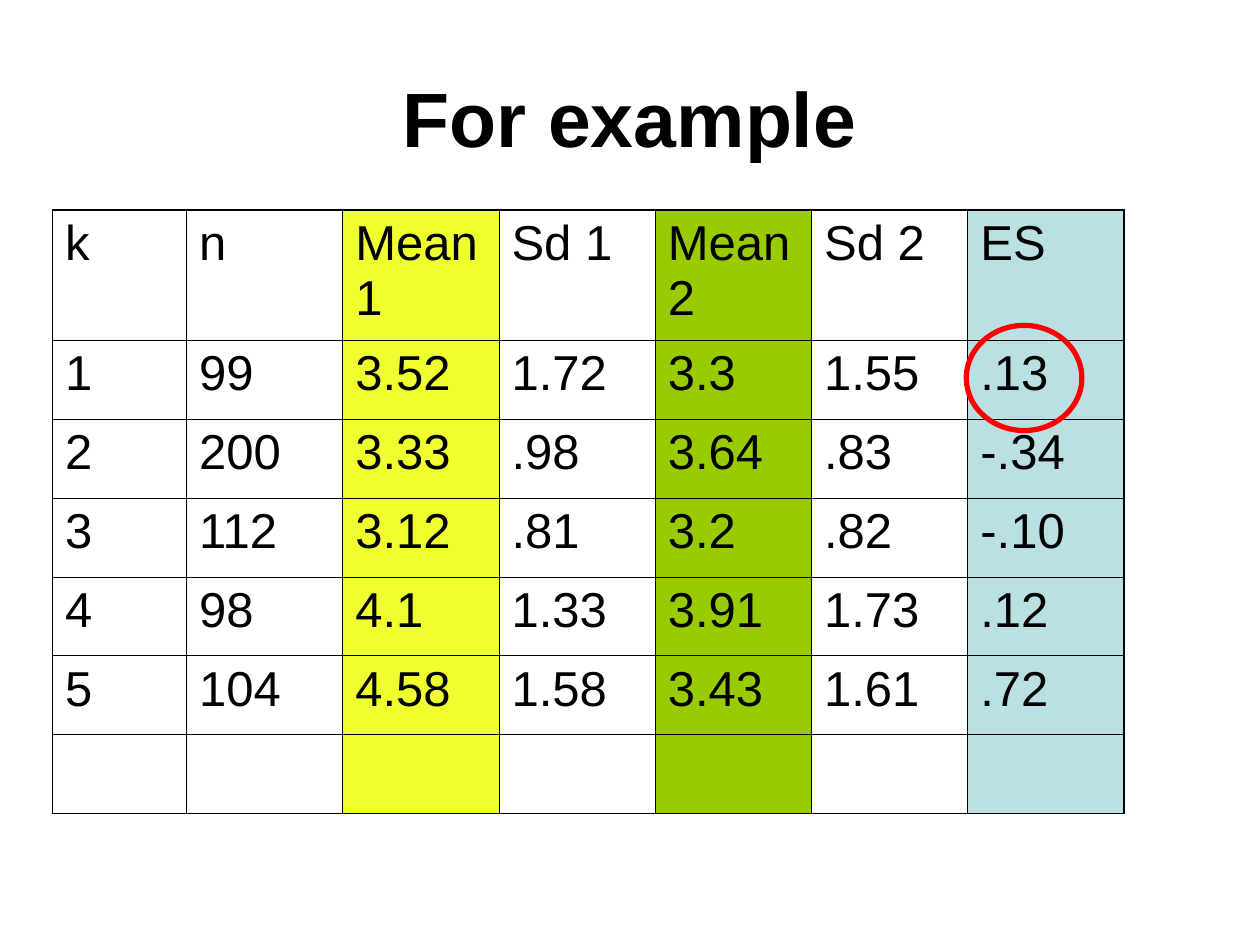
from lxml.etree import SubElement
from pptx import Presentation
from pptx.dml.color import RGBColor
from pptx.enum.shapes import MSO_SHAPE
from pptx.enum.text import MSO_ANCHOR, PP_ALIGN
from pptx.oxml.ns import qn
from pptx.util import Cm, Pt

COLOURS = {
    "ink": "000000",
    "first mean": "EFFE2E",
    "second mean": "99CC00",
    "effect": "BBE0E3",
    "ring": "FF0000",
}
FONT = "Arial"
THIN, THICK = 0.45, 1.08

ROWS = [
    ["k", "n", "Mean 1", "Sd 1", "Mean 2", "Sd 2", "ES"],
    ["1", "99", "3.52", "1.72", "3.3", "1.55", ".13"],
    ["2", "200", "3.33", ".98", "3.64", ".83", "-.34"],
    ["3", "112", "3.12", ".81", "3.2", ".82", "-.10"],
    ["4", "98", "4.1", "1.33", "3.91", "1.73", ".12"],
    ["5", "104", "4.58", "1.58", "3.43", "1.61", ".72"],
    [""] * 7,
]
COLUMN_WIDTHS = [2.7] + [3.15] * 6
ROW_HEIGHTS = [2.63] + [1.59] * 6
COLUMN_FILLS = {2: "first mean", 4: "second mean", 6: "effect"}


class SlideBuilder:
    """Holds the style and the current page, and draws each kind of element."""

    def __init__(self, page):
        self.page = page

    def colour(self, name):
        return RGBColor.from_string(COLOURS[name])

    def style(self, paragraph, size, bold=False):
        for span in paragraph.runs:
            span.font.name = FONT
            span.font.size = Pt(size)
            span.font.bold = bold
            span.font.color.rgb = self.colour("ink")

    def title(self, text, left, top, width, height):
        box = self.page.shapes.title
        box.left, box.top, box.width, box.height = map(Cm, (left, top, width, height))
        box.text_frame.text = text
        box.text_frame.vertical_anchor = MSO_ANCHOR.MIDDLE
        paragraph = box.text_frame.paragraphs[0]
        paragraph.alignment = PP_ALIGN.CENTER
        self.style(paragraph, 44, bold=True)

    def borders(self, cell, widths):
        properties = cell._tc.get_or_add_tcPr()
        for side, width in widths.items():
            line = SubElement(properties, qn(f"a:ln{side}"), w=str(Pt(width)))
            fill = SubElement(line, qn("a:solidFill"))
            SubElement(fill, qn("a:srgbClr"), val=COLOURS["ink"])

    def table(self, rows, left, top, widths, heights, fills):
        frame = self.page.shapes.add_table(
            len(rows), len(widths), Cm(left), Cm(top), Cm(sum(widths)), Cm(sum(heights))
        )
        table = frame.table
        table.first_row = table.horz_banding = False
        for column, width in zip(table.columns, widths):
            column.width = Cm(width)
        for row, height in zip(table.rows, heights):
            row.height = Cm(height)
        for i, texts in enumerate(rows):
            for j, text in enumerate(texts):
                cell = table.cell(i, j)
                outer = {
                    "L": j == 0,
                    "R": j == len(widths) - 1,
                    "T": i == 0,
                    "B": i == len(rows) - 1,
                }
                self.borders(cell, {side: THICK if edge else THIN for side, edge in outer.items()})
                if j in fills:
                    cell.fill.solid()
                    cell.fill.fore_color.rgb = self.colour(fills[j])
                else:
                    cell.fill.background()
                cell.text_frame.text = text
                self.style(cell.text_frame.paragraphs[0], 28)

    def ring(self, left, top, width, height):
        ring = self.page.shapes.add_shape(
            MSO_SHAPE.OVAL, Cm(left), Cm(top), Cm(width), Cm(height)
        )
        ring.shadow.inherit = False
        ring.fill.background()
        ring.line.color.rgb = self.colour("ring")
        ring.line.width = Pt(3)


def main():
    deck = Presentation()
    deck.slide_width, deck.slide_height = Cm(25.4), Cm(19.05)
    builder = SlideBuilder(deck.slides.add_slide(deck.slide_layouts[5]))
    builder.title("For example", 1.27, 0.76, 22.86, 3.18)
    builder.table(ROWS, 1.06, 4.23, COLUMN_WIDTHS, ROW_HEIGHTS, COLUMN_FILLS)
    builder.ring(19.48, 6.56, 2.33, 2.12)
    deck.save("out.pptx")


if __name__ == "__main__":
    main()
